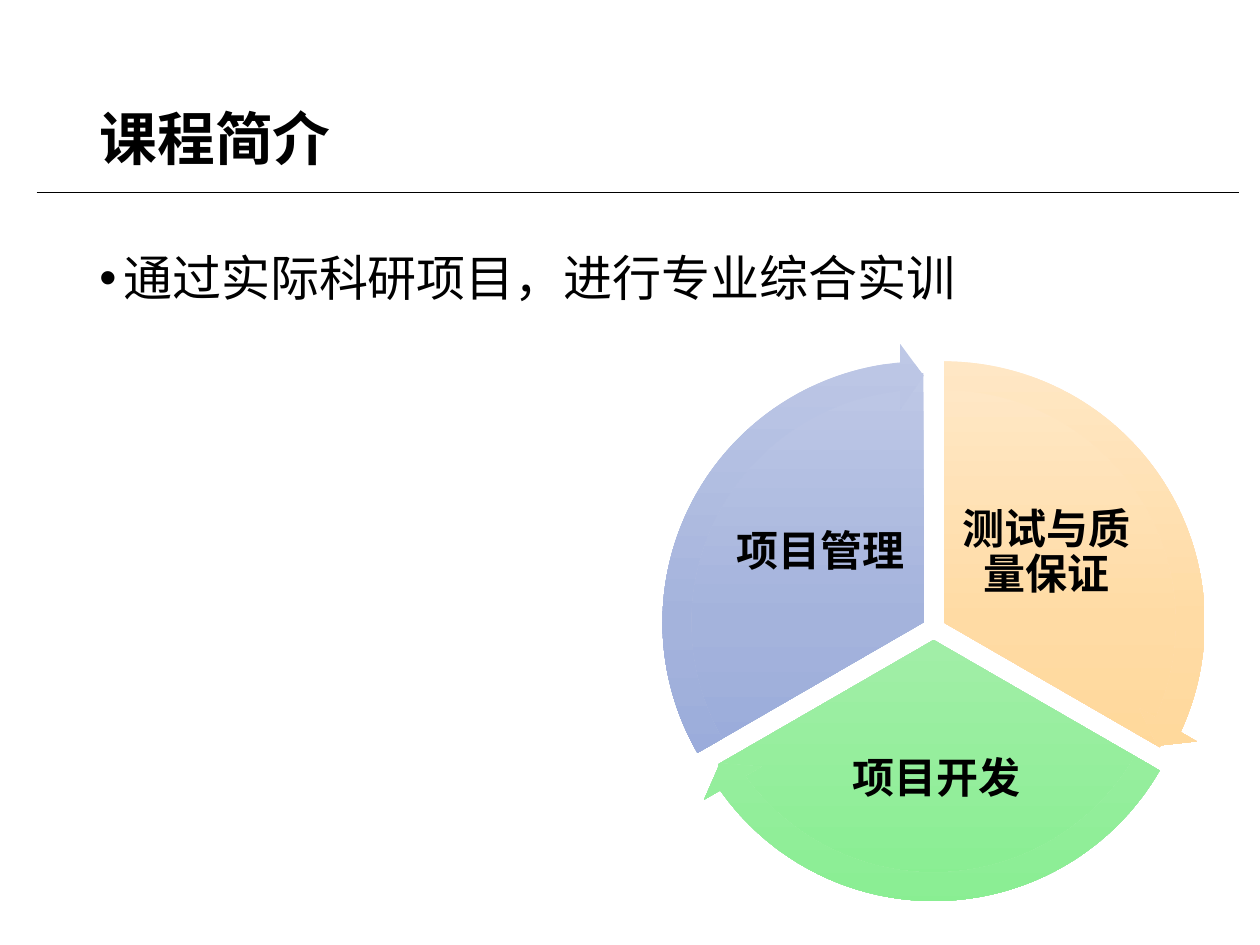
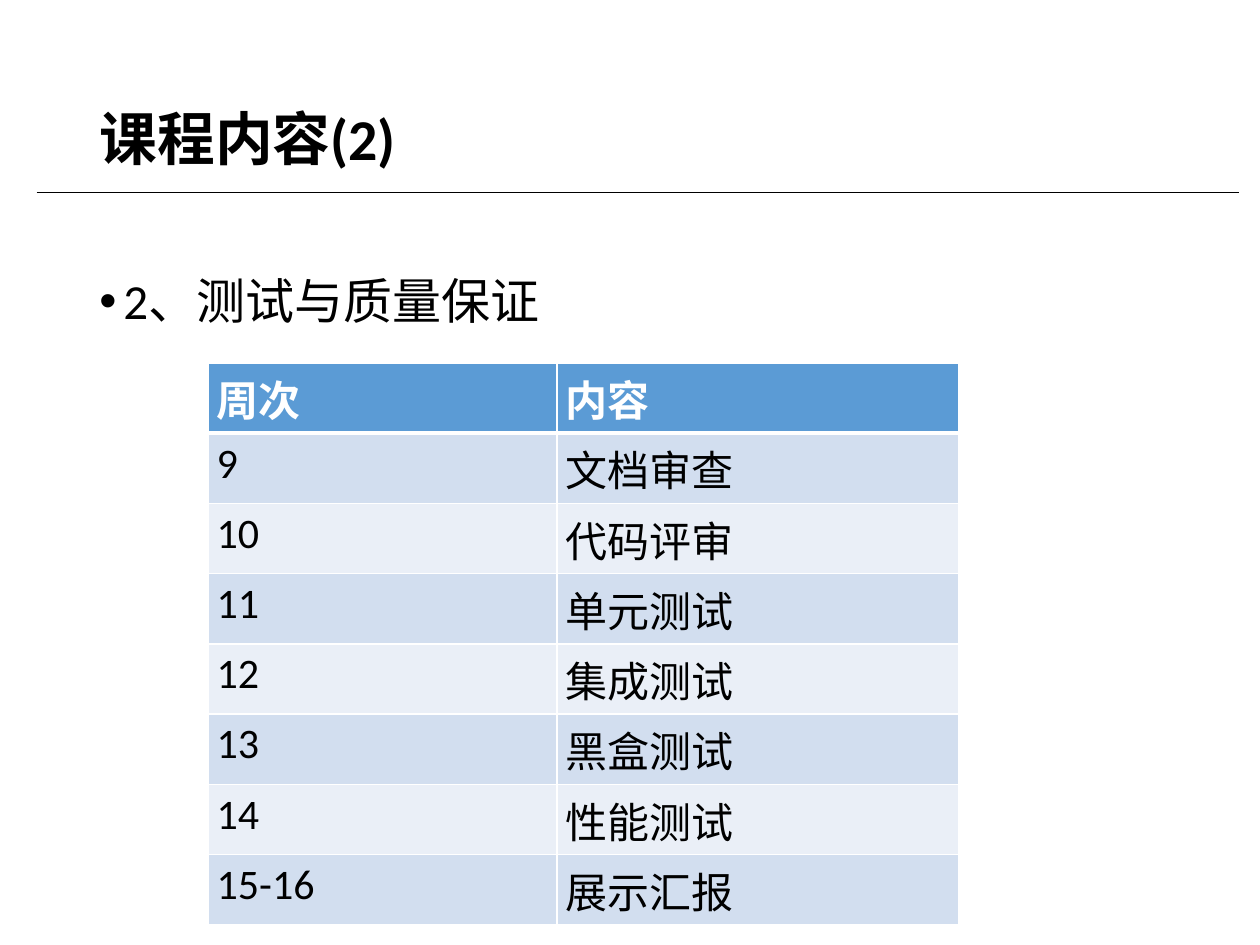
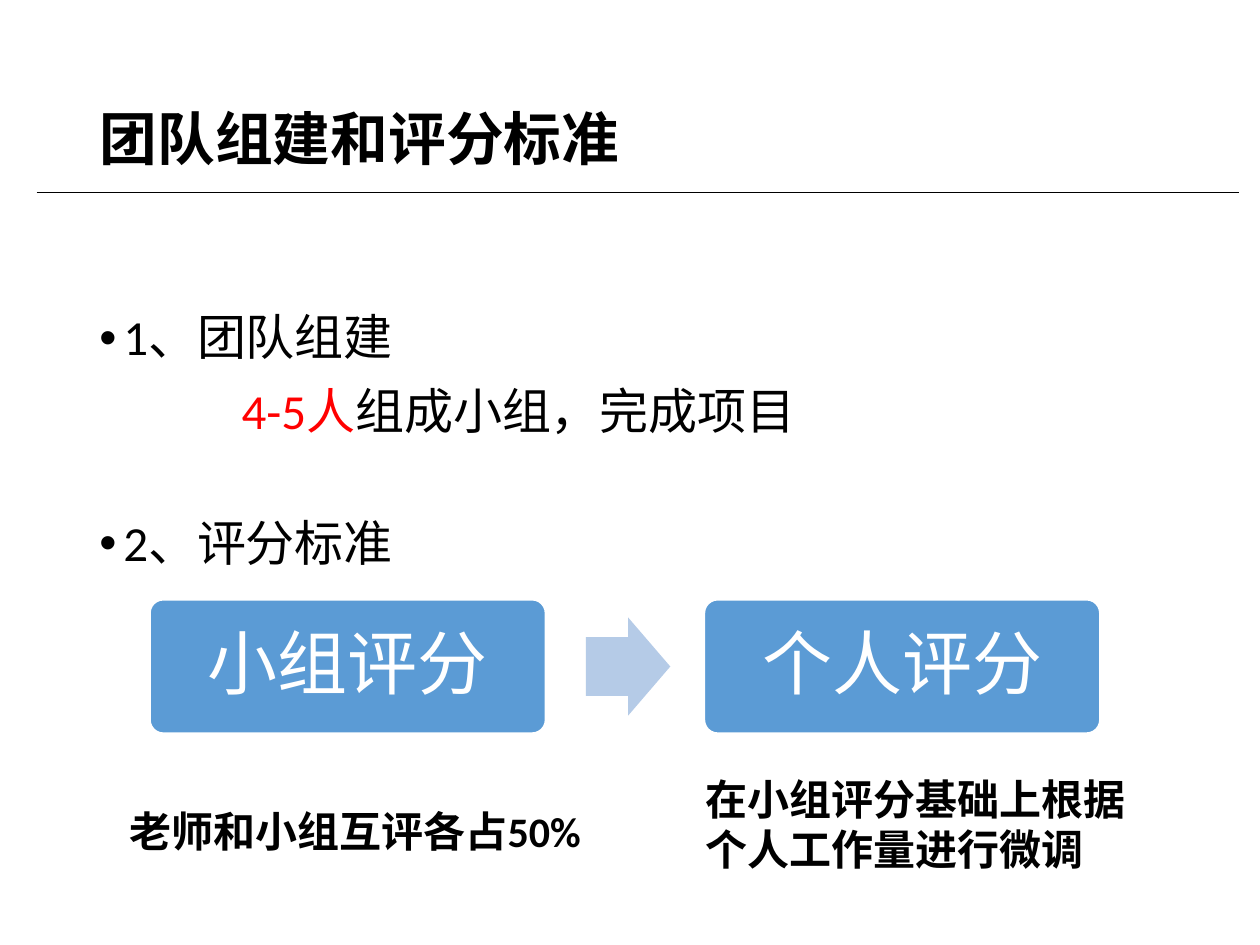
from copy import deepcopy
from lxml.etree import SubElement as Sub
from pptx import Presentation
from pptx.dml.color import RGBColor
from pptx.enum.lang import MSO_LANGUAGE_ID as Lang
from pptx.enum.shapes import MSO_CONNECTOR as Link, MSO_SHAPE as Kind
from pptx.enum.text import MSO_ANCHOR as Anchor, MSO_AUTO_SIZE as Fit, PP_ALIGN as Align
from pptx.oxml.ns import qn
from pptx.util import Inches, Pt

Rgb = RGBColor.from_string


class Theme:
    font = "Calibri"
    ink = "000000"
    white = "FFFFFF"
    red = "FF0000"
    blue = "5B9BD5"
    pale = "B5CBE7"
    bands = ("EAEFF7", "D2DEEF")
    gold = ("FFE8C7", "FFDBA4", "FFD58F")
    green = ("BEF3C2", "A1EEA7", "89EE92")
    indigo = ("BEC8E6", "A4B3DC", "90A4D9")
    title = 33
    body = 28
    label = 24
    step = 40


def write(para, runs, size, bold=False, space=0.9, align=Align.LEFT):
    para.line_spacing = space
    para.alignment = align
    for text, color in runs:
        run = para.add_run()
        run.text = text
        font = run.font
        font.name, font.size, font.bold = Theme.font, Pt(size), bold
        font.color.rgb = Rgb(color)
        font.language_id = Lang.SIMPLIFIED_CHINESE


def frame(slide, left, top, width, height, inset=None):
    text = slide.shapes.add_textbox(*map(Inches, (left, top, width, height))).text_frame
    text.word_wrap = True
    if inset is not None:
        text.margin_left = text.margin_right = Inches(inset)
        text.margin_top = text.margin_bottom = Inches(inset)
        text.vertical_anchor = Anchor.MIDDLE
    return text


deck = Presentation()
deck.slide_width, deck.slide_height = Inches(10), Inches(7.5)
layout = deck.slide_layouts[5]

pages = []
for name in ("课程简介", "课程内容(2)", "团队组建和评分标准"):
    page = deck.slides.add_slide(layout)
    head = page.shapes.title
    head.left, head.top, head.width, head.height = map(Inches, (0.69, 0.4, 8.62, 1.45))
    head.text_frame.vertical_anchor = Anchor.MIDDLE
    head.text_frame.auto_size = Fit.NONE
    write(head.text_frame.paragraphs[0], [(name, Theme.ink)], Theme.title, True)
    pages.append(page)
intro, plan, team = pages

rule = intro.shapes.add_connector(Link.STRAIGHT, Inches(0.29), Inches(1.53), Inches(9.83), Inches(1.53))
rule.line.color.rgb = Rgb(Theme.ink)
rule.line.width = Pt(0.5)
Sub(rule._element.spPr, qn("a:effectLst"))
layout._element.cSld.spTree.append(rule._element)

points = (
    (intro, (0.69, 1.97, 7.21, 3.57), [("•", 0, [("通过实际科研项目，进行专业综合实训", Theme.ink)])]),
    (plan, (0.69, 2.15, 5.96, 3.57), [("•", 0, [("2、测试与质量保证", Theme.ink)])]),
    (team, (0.69, 2.44, 8.42, 3.57), [
        ("•", 0, [("1、团队组建", Theme.ink)]),
        ("", 12, [("4-5人", Theme.red), ("组成小组，完成项目", Theme.ink)]),
        ("•", 45, [("2、评分标准", Theme.ink)]),
    ]),
)
for page, place, items in points:
    text = frame(page, *place)
    for row, (mark, gap, runs) in enumerate(items):
        para = text.add_paragraph() if row else text.paragraphs[0]
        props = para._p.get_or_add_pPr()
        props.set("marL", str(Inches(0.19 if mark else 1.13)))
        if mark:
            props.set("indent", str(Inches(-0.19)))
            Sub(props, qn("a:buFont")).set("typeface", "Arial")
            Sub(props, qn("a:buChar")).set("char", mark)
        para.space_before = Pt(gap)
        write(para, runs, Theme.body)

parts = (
    ("测试与质量保证", Theme.gold, (7.49, 4.94), (162, 18), (14.725, 161.994), (7.6, 3.8, 1.41, 1.18)),
    ("项目开发", Theme.green, (7.41, 5.08), (18, 90), (86.72, 18.005), (6.37, 5.67, 2.12, 1.04)),
    ("项目管理", Theme.indigo, (7.33, 4.94), (90, 162), (158.73, 90), (5.81, 3.8, 1.41, 1.18)),
)
for kind, size in ((Kind.PIE, 3.96), (Kind.CIRCULAR_ARROW, 4.44)):
    for name, tones, (mid, low), arc, sweep, place in parts:
        piece = intro.shapes.add_shape(kind, Inches(mid - size / 2), Inches(low - size / 2), Inches(size), Inches(size))
        angles = arc if kind == Kind.PIE else (0.051, 3.275, *sweep, 0.059)
        for spot, angle in enumerate(angles):
            piece.adjustments[spot] = angle
        piece.shadow.inherit = False
        piece.line.fill.background()
        piece.fill.gradient()
        piece.fill.gradient_angle = 270
        stops = piece._element.spPr.find(qn("a:gradFill")).find(qn("a:gsLst"))
        stops.insert(1, deepcopy(stops[0]))
        for stop, tone, spot in zip(piece.fill.gradient_stops, tones, (0, 0.5, 1)):
            stop.color.rgb = Rgb(tone)
            stop.position = spot
        if kind == Kind.PIE:
            text = frame(intro, *place, inset=0.03)
            write(text.paragraphs[0], [(name, Theme.ink)], Theme.label, True, align=Align.CENTER)

weeks = (
    ("周次", "内容"),
    ("9", "文档审查"),
    ("10", "代码评审"),
    ("11", "单元测试"),
    ("12", "集成测试"),
    ("13", "黑盒测试"),
    ("14", "性能测试"),
    ("15-16", "展示汇报"),
)
grid = plan.shapes.add_table(len(weeks), 2, Inches(1.65), Inches(2.88), Inches(5.96), Inches(4.46)).table
for col, width in zip(grid.columns, (2.77, 3.19)):
    col.width = Inches(width)
for row, week in enumerate(weeks):
    for col, name in enumerate(week):
        cell = grid.cell(row, col)
        cell.margin_left = cell.margin_right = Inches(0.07)
        cell.margin_top = cell.margin_bottom = Inches(0.04)
        cell.fill.solid()
        cell.fill.fore_color.rgb = Rgb(Theme.bands[row % 2] if row else Theme.blue)
        color = Theme.ink if row else Theme.white
        write(cell.text_frame.paragraphs[0], [(name, color)], Theme.label, not row, 1)
        props = cell._tc.get_or_add_tcPr()
        for spot, side in enumerate("LRTB"):
            thick = (side == "B" and row == 0) or (side == "T" and row == 1)
            edge = Sub(props, qn("a:ln" + side), w=str(Pt(3 if thick else 1)))
            Sub(Sub(edge, qn("a:solidFill")), qn("a:srgbClr"), val=Theme.white)
            props.insert(spot, edge)

steps = (
    (Kind.ROUNDED_RECTANGLE, (1.19, 4.76, 3.14, 1.06), (0.1,), Theme.blue, "小组评分"),
    (Kind.RIGHT_ARROW, (4.65, 4.9, 0.67, 0.78), (0.6, 0.5), Theme.pale, ""),
    (Kind.ROUNDED_RECTANGLE, (5.59, 4.76, 3.14, 1.06), (0.1,), Theme.blue, "个人评分"),
)
for kind, place, bends, color, name in steps:
    step = team.shapes.add_shape(kind, *map(Inches, place))
    for spot, bend in enumerate(bends):
        step.adjustments[spot] = bend
    step.shadow.inherit = False
    step.fill.solid()
    step.fill.fore_color.rgb = Rgb(color)
    if name:
        step.line.color.rgb = Rgb(Theme.white)
        step.line.width = Pt(1)
        step.text_frame.vertical_anchor = Anchor.MIDDLE
        write(step.text_frame.paragraphs[0], [(name, Theme.white)], Theme.step, align=Align.CENTER)
    else:
        step.line.fill.background()

notes = (
    ((0.43, 6.34, 4.38, 0.5), 0.5, "老师和小组互评各占50%"),
    ((5.5, 6.09, 3.7, 0.91), 0, "在小组评分基础上根据个人工作量进行微调"),
)
for place, indent, name in notes:
    text = frame(team, *place)
    text.auto_size = Fit.SHAPE_TO_FIT_TEXT
    para = text.paragraphs[0]
    para._p.get_or_add_pPr().set("marL", str(Inches(indent)))
    write(para, [(name, Theme.ink)], Theme.label, True, 1)

deck.save("out.pptx")
